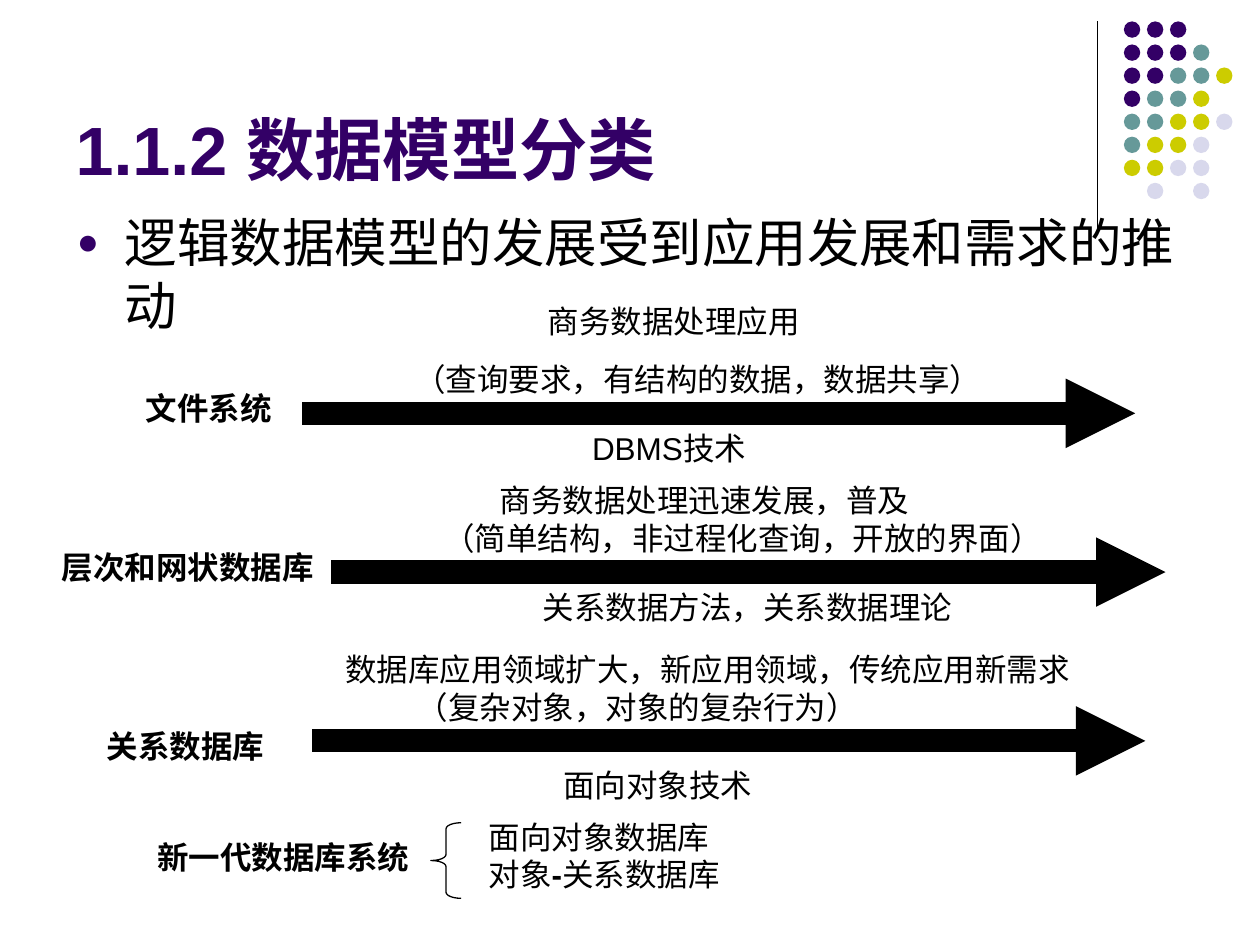
from lxml import etree
from pptx import Presentation
from pptx.dml.color import RGBColor
from pptx.enum.shapes import MSO_CONNECTOR, MSO_SHAPE
from pptx.enum.text import MSO_ANCHOR, MSO_AUTO_SIZE, PP_ALIGN
from pptx.oxml.ns import qn
from pptx.util import Inches, Pt

COLORS = {"purple": "330066", "teal": "669999", "olive": "CCCC00",
          "lilac": "D8D8EC", "black": "000000"}
FONT = "Arial"

TITLE = "1.1.2 数据模型分类"
BULLET = "逻辑数据模型的发展受到应用发展和需求的推动"

# Boxes are (left, top, width, height); demand lines are (text, indent).
STAGES = [
    {"system": ("文件系统", (1.06, 3.04, 1.26, 0.4)),
     "demand": ([("商务数据处理应用", 1.06),
                 ("（查询要求，有结构的数据，数据共享）", 0)], (3.19, 2.41, 5.04, 0.8)),
     "demand_gap": 11.2,
     "technology": ("DBMS技术", (4.6, 3.36, 3.31, 0.4)),
     "arrow": (2.4, 9.01, 3.28)},
    {"system": ("层次和网状数据库", (0.39, 4.3, 2.36, 0.4)),
     "demand": ([("商务数据处理迅速发展，普及", 0.45),
                 ("（简单结构，非过程化查询，开放的界面）", 0)], (3.42, 3.83, 4.96, 0.64)),
     "demand_gap": 0,
     "technology": ("关系数据方法，关系数据理论", (4.21, 4.62, 4.17, 0.4)),
     "arrow": (2.63, 9.25, 4.54)},
    {"system": ("关系数据库", (0.75, 5.72, 1.65, 0.4)),
     "demand": ([("数据库应用领域扩大，新应用领域，传统应用新需求", 0),
                 ("（复杂对象，对象的复杂行为）", 0.57)], (2.64, 5.17, 6.69, 0.64)),
     "demand_gap": 0,
     "technology": ("面向对象技术", (4.37, 6.03, 2.05, 0.4)),
     "arrow": (2.48, 9.09, 5.88)},
]
NEXT_GENERATION = ("新一代数据库系统", (1.15, 6.6, 2.3, 0.4))
NEXT_KINDS = ([["面向对象数据库"], ["对象", "-", "关系数据库"]], (3.78, 6.44, 5, 0.7))
BRACE = (3.42, 6.53, 0.24, 0.6)

DOT_ROWS = ["PPP", "PPPT", "PPTTY", "PTTY", "TTYYL", "TYYL", "YYLL", ".L.L"]
DOT_COLORS = {"P": "purple", "T": "teal", "Y": "olive", "L": "lilac"}
DOT_LEFT, DOT_TOP, DOT_PITCH, DOT_SIZE = 8.92, 0.17, 0.183, 0.13


def rgb(name):
    return RGBColor.from_string(COLORS[name])


def inches(values):
    return [Inches(value) for value in values]


def style(font, size=18, color="black", bold=False):
    font.name, font.size, font.bold = FONT, Pt(size), bold
    font.color.rgb = rgb(color)


def place(placeholder, box, anchor):
    placeholder.left, placeholder.top, placeholder.width, placeholder.height = inches(box)
    frame = placeholder.text_frame
    frame.auto_size, frame.vertical_anchor = MSO_AUTO_SIZE.NONE, anchor
    return frame.paragraphs[0]


def add_paragraphs(slide, lines, box, bold=False):
    """Add a text box; each line is a list of runs."""
    frame = slide.shapes.add_textbox(*inches(box)).text_frame
    frame.word_wrap = True
    for index, runs in enumerate(lines):
        paragraph = frame.add_paragraph() if index else frame.paragraphs[0]
        for text in runs:
            paragraph.add_run().text = text
        style(paragraph.font, bold=bold)
    return frame.paragraphs


def add_line(slide, start, end, width):
    line = slide.shapes.add_connector(MSO_CONNECTOR.STRAIGHT, *inches(start + end))
    line.line.color.rgb = rgb("black")
    line.line.width = Pt(width)
    etree.SubElement(line._element.spPr, qn("a:effectLst"))
    return line


def add_dots(slide):
    for row, codes in enumerate(DOT_ROWS):
        for column, code in enumerate(codes):
            if code == ".":
                continue
            dot = slide.shapes.add_shape(MSO_SHAPE.OVAL, *inches(
                (DOT_LEFT + column * DOT_PITCH, DOT_TOP + row * DOT_PITCH,
                 DOT_SIZE, DOT_SIZE)))
            dot.shadow.inherit = False
            dot.fill.solid()
            dot.fill.fore_color.rgb = rgb(DOT_COLORS[code])
            dot.line.fill.background()


def add_heading(slide):
    title = place(slide.shapes.title, (0.5, 0.13, 8.25, 1.42), MSO_ANCHOR.BOTTOM)
    title.text, title.alignment = TITLE, PP_ALIGN.LEFT
    style(title.font, 39, "purple", True)

    bullet = place(slide.placeholders[1], (0.51, 1.62, 9, 4.82), MSO_ANCHOR.TOP)
    bullet.text, bullet.space_before = BULLET, Pt(0)
    properties = bullet._p.get_or_add_pPr()
    properties.set("marL", str(Inches(0.38)))
    properties.set("indent", str(-Inches(0.38)))
    color = etree.SubElement(properties, qn("a:buClr"))
    etree.SubElement(color, qn("a:srgbClr"), val=COLORS["purple"])
    etree.SubElement(properties, qn("a:buSzPct"), val="70000")
    etree.SubElement(properties, qn("a:buChar"), char="●")
    style(bullet.font, 30)


def add_stage(slide, stage):
    left, right, y = stage["arrow"]
    arrow = add_line(slide, (left, y), (right, y), 13.25)
    etree.SubElement(arrow.line._get_or_add_ln(), qn("a:tailEnd"), type="triangle")

    lines, box = stage["demand"]
    paragraphs = add_paragraphs(slide, [[text] for text, _ in lines], box)
    for paragraph, (_, indent) in zip(paragraphs, lines):
        paragraph._p.get_or_add_pPr().set("marL", str(Inches(indent)))
    paragraphs[0].line_spacing = 0.8
    paragraphs[1].space_before = Pt(stage["demand_gap"])

    for part, bold in (("system", True), ("technology", False)):
        text, box = stage[part]
        add_paragraphs(slide, [[text]], box, bold)


def add_next_generation(slide):
    text, box = NEXT_GENERATION
    add_paragraphs(slide, [[text]], box, bold=True)
    kinds = add_paragraphs(slide, *NEXT_KINDS)
    kinds[1].runs[1].font.bold = True
    brace = slide.shapes.add_shape(MSO_SHAPE.LEFT_BRACE, *inches(BRACE))
    brace.adjustments[0] = 0.2
    brace.shadow.inherit = False
    brace.fill.background()
    brace.line.color.rgb = rgb("black")
    brace.line.width = Pt(0.75)


def main():
    deck = Presentation()
    deck.slide_width, deck.slide_height = Inches(10), Inches(7.5)
    slide = deck.slides.add_slide(deck.slide_layouts[1])
    add_line(slide, (8.71, 0.17), (8.71, 1.83), 0.75)
    add_dots(slide)
    add_heading(slide)
    for stage in STAGES:
        add_stage(slide, stage)
    add_next_generation(slide)
    deck.save("out.pptx")


if __name__ == "__main__":
    main()
